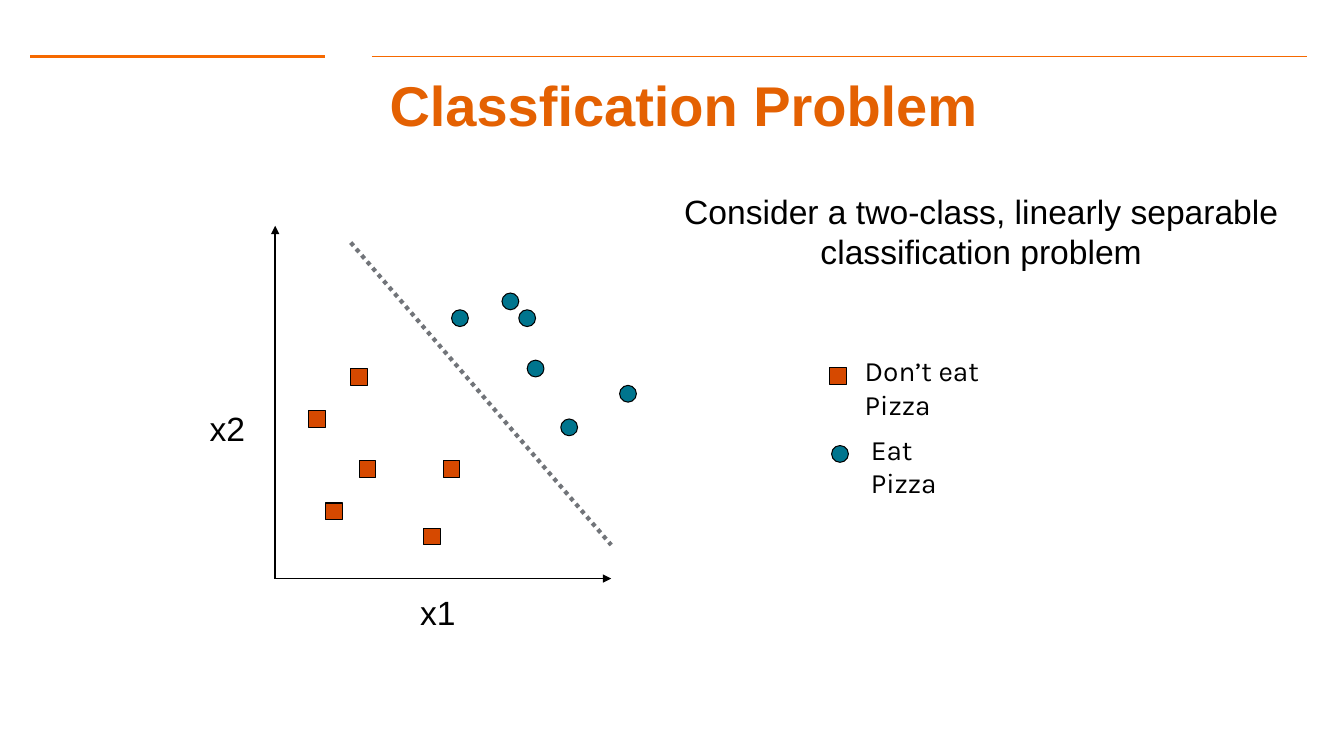
from dataclasses import dataclass

from pptx import Presentation
from pptx import util as u
from pptx.dml.color import RGBColor
from pptx.enum import dml, shapes, text
from pptx.oxml import ns, xmlchemy


@dataclass(frozen=True)
class Theme:
    title: str = "E46102"
    rule: str = "F66900"
    ink: str = "000000"
    split: str = "717479"
    eat: str = "00758E"
    skip: str = "D64900"
    font: str = "Arial"
    key: str = "Karla"
    big: int = 40
    body: int = 24
    small: int = 20


T = Theme()
COLS, ROWS = 160, 90
WIDE, HIGH = u.Inches(13.33), u.Inches(7.5)
LEFT, BASE = 32.76, 68.88
DOT = 2
EAT = [(29, 32), (41, 23), (34, 19), (30, 26), (27, 34), (21, 32)]
SKIP = [(4, 20), (20, 14), (17.65, 6), (10, 14), (6, 9), (9, 25)]
OVAL = shapes.MSO_SHAPE.OVAL
RECT = shapes.MSO_SHAPE.RECTANGLE


def col(n):
    return int(WIDE * n / COLS)


def row(n):
    return int(HIGH * n / ROWS)


def spot(x, y):
    return LEFT + x, BASE - y


def tint(hue):
    return RGBColor.from_string(hue)


def write(slide, words, x, y, w, h, size=T.body, font=T.font, hue=T.ink,
          bold=False, align=text.PP_ALIGN.LEFT, mid=False, inset=None):
    box = slide.shapes.add_textbox(col(x), row(y), col(w), row(h))
    frame = box.text_frame
    frame.word_wrap = True
    if mid:
        frame.vertical_anchor = text.MSO_ANCHOR.MIDDLE
    if inset is not None:
        frame.margin_left = frame.margin_right = u.Inches(inset)
        frame.margin_top = frame.margin_bottom = u.Inches(inset)
    para = frame.paragraphs[0]
    para.alignment = align
    run = para.add_run()
    run.text = words
    run.font.name = font
    run.font.size = u.Pt(size)
    run.font.bold = bold
    run.font.color.rgb = tint(hue)


def draw(slide, start, end, hue=T.ink, width=1, dash=None, arrow=False):
    line = slide.shapes.add_connector(
        shapes.MSO_CONNECTOR.STRAIGHT,
        col(start[0]), row(start[1]), col(end[0]), row(end[1]))
    line.line.color.rgb = tint(hue)
    line.line.width = u.Pt(width)
    if dash:
        line.line.dash_style = dash
    props = line._element.spPr
    if arrow:
        tip = xmlchemy.OxmlElement("a:tailEnd")
        tip.set("type", "triangle")
        props.find(ns.qn("a:ln")).append(tip)
    props.append(xmlchemy.OxmlElement("a:effectLst"))


def mark(slide, kind, x, y, hue):
    dot = slide.shapes.add_shape(kind, col(x), row(y), col(DOT), row(DOT))
    dot.shadow.inherit = False
    dot.fill.solid()
    dot.fill.fore_color.rgb = tint(hue)
    dot.line.color.rgb = tint(T.ink)
    dot.line.width = u.Pt(0.75)


def head(slide):
    draw(slide, (3.6, 6.72), (38.64, 6.72), T.rule, 2)
    draw(slide, (44.28, 6.72), (155.64, 6.72), T.rule)
    write(slide, "Classfication Problem", 9.36, 9.12, 144, 6.6, size=T.big,
          hue=T.title, bold=True, align=text.PP_ALIGN.CENTER, mid=True,
          inset=0.13)
    write(slide,
          "Consider a two-class, linearly separable classification problem",
          76.8, 22.08, 80, 10.92, align=text.PP_ALIGN.CENTER)


def plot(slide):
    for end in ((0, 42), (40, 0)):
        draw(slide, spot(0, 0), spot(*end), arrow=True)
    draw(slide, spot(9, 40), spot(40, 4), T.split, 3,
         dash=dml.MSO_LINE.ROUND_DOT)
    write(slide, "x2", 23.76, 48, 8, 6)
    write(slide, "x1", 48.84, 69.84, 8, 6)
    for kind, hue, group in ((OVAL, T.eat, EAT), (RECT, T.skip, SKIP)):
        for point in group:
            mark(slide, kind, *spot(*point), hue)


def legend(slide):
    mark(slide, RECT, 98.76, 43.8, T.skip)
    mark(slide, OVAL, 99, 53.04, T.eat)
    write(slide, "Don’t eat Pizza", 101.76, 41.52, 18, 9,
          size=T.small, font=T.key)
    write(slide, "Eat Pizza", 102.48, 50.88, 13, 9,
          size=T.small, font=T.key)


def main():
    deck = Presentation()
    deck.slide_width, deck.slide_height = WIDE, HIGH
    slide = deck.slides.add_slide(deck.slide_layouts[6])
    head(slide)
    plot(slide)
    legend(slide)
    deck.save("out.pptx")


if __name__ == "__main__":
    main()
